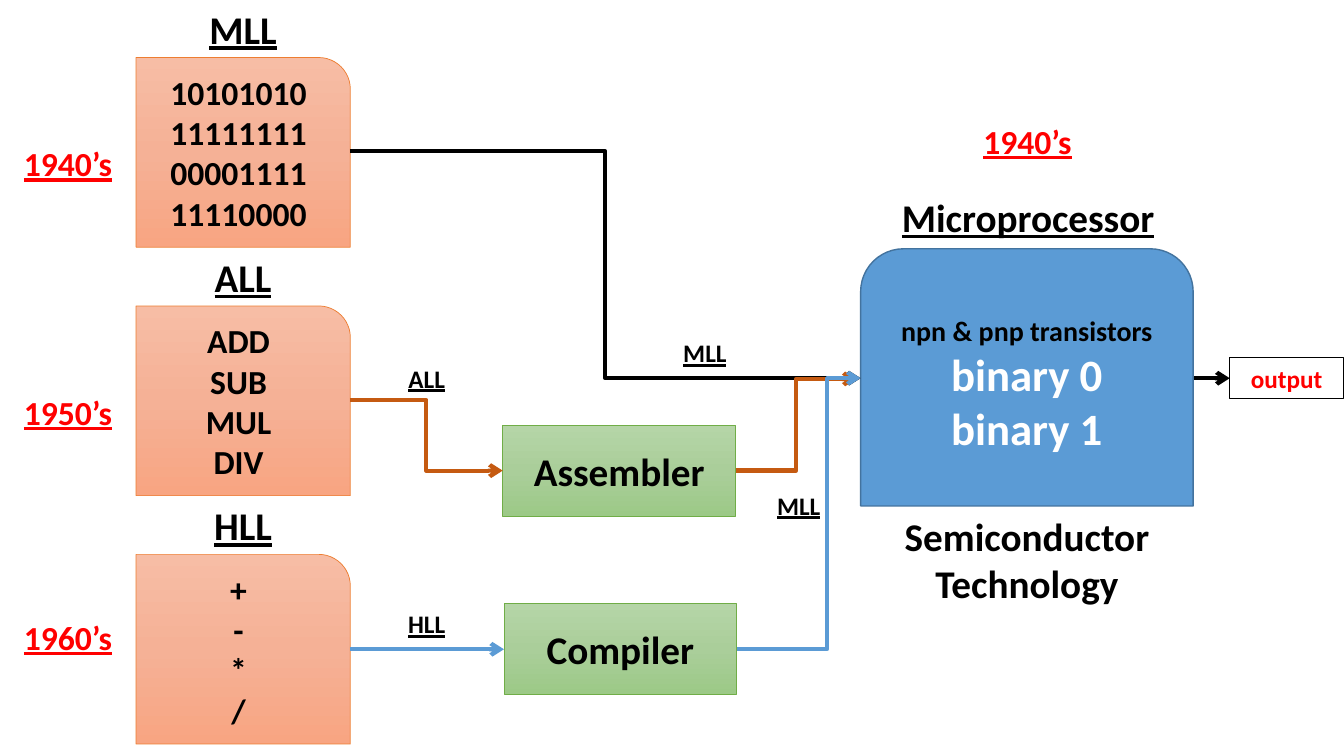
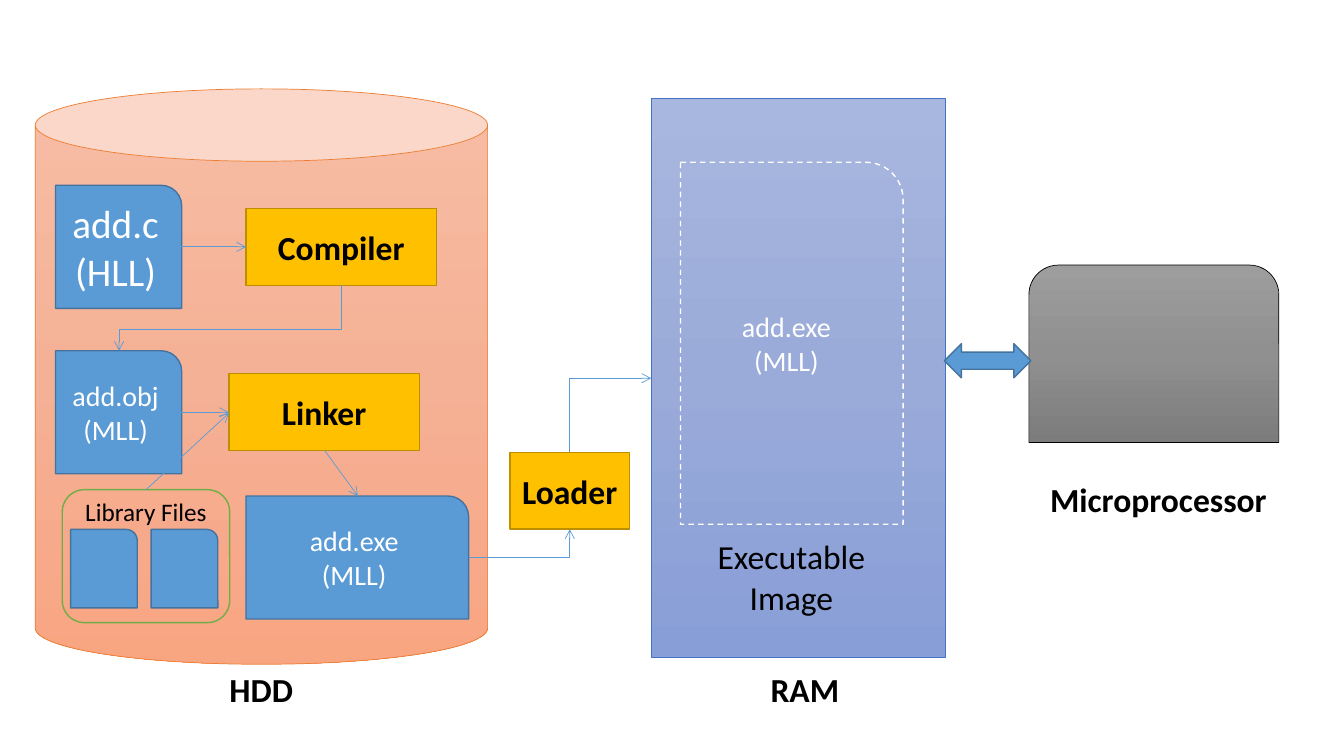
"""Build two slides on language levels and on how a program reaches the processor."""
from copy import deepcopy
from dataclasses import dataclass
from typing import Optional

from lxml.etree import SubElement
from pptx import Presentation
from pptx.dml.color import RGBColor
from pptx.dml.fill import FillFormat
from pptx.enum.dml import MSO_LINE_DASH_STYLE as Dash
from pptx.enum.shapes import MSO_CONNECTOR as Link, MSO_SHAPE as Preset
from pptx.enum.text import MSO_ANCHOR as Anchor, MSO_AUTO_SIZE as AutoSize, PP_ALIGN as Align
from pptx.oxml.ns import qn
from pptx.slide import Slide
from pptx.text.text import TextFrame
from pptx.util import Cm, Pt

FONT = "Calibri"
COLORS = {
    "black": "000000", "white": "FFFFFF", "red": "FF0000",
    "blue": "5B9BD5", "blue edge": "43739E", "royal": "4472C4",
    "orange": "ED7D31", "rust": "C55A11", "green": "70AD47",
    "gold": "FFC000", "gold edge": "BD8E00",
}
GRADIENTS = {
    "peach": ("F7BDA5", "F5B196", "F8A582"),
    "leaf": ("B5D5A7", "AACE9A", "9CC987"),
    "steel": ("9D9D9D", "909090", "7C7C7C"),
    "periwinkle": ("A8B7DF", "9AABD9", "889ED7"),
}


@dataclass(frozen=True)
class Face:
    size: int
    color: str = "black"
    bold: bool = True
    underline: bool = False


@dataclass(frozen=True)
class Look:
    fill: Optional[str] = None
    edge: Optional[str] = None
    weight: float = 1
    dash: bool = False


@dataclass(frozen=True)
class Line:
    text: str
    face: Face


@dataclass(frozen=True)
class Box:
    preset: Optional[Preset]
    left: float
    top: float
    width: float
    height: float
    look: Look
    lines: tuple[Line, ...] = ()
    anchor: Anchor = Anchor.MIDDLE
    adjustment: Optional[float] = None


@dataclass(frozen=True)
class Arrow:
    start: tuple[float, float]
    end: tuple[float, float]
    color: str = "blue"
    weight: float = 0.5
    bends: int = 0
    turn: float = 0.5
    upright: bool = False


@dataclass(frozen=True)
class Level:
    name: str
    code: tuple[str, ...]
    decade: str
    decade_top: float


PLAIN = Look()
FRAME = Look(edge="black", weight=0.75)
PEACH = Look("peach", "orange", 0.5)
LEAF = Look("leaf", "green", 0.5)
STEEL = Look("steel", "black", 0.5)
PERIWINKLE = Look("periwinkle", "royal", 0.5)
BLUE = Look("blue", "blue edge")
GOLD = Look("gold", "gold edge")
OUTLINE = Look(edge="green")
DASHED = Look(edge="white", dash=True)

HEADING = Face(28, underline=True)
LARGE = Face(28)
BODY = Face(24)
CAPTION = Face(24, bold=False)
DECADE = Face(24, "red", underline=True)
FLOW = Face(18, underline=True)
FILE = Face(20, "white", bold=False)

LEVELS = (
    Level("MLL", ("10101010", "11111111", "00001111", "11110000"), "1940’s", 3.48),
    Level("ALL", ("ADD", "SUB", "MUL", "DIV"), "1950’s", 9.75),
    Level("HLL", ("+", "-", "*", "/"), "1960’s", 15.42),
)
LEVEL_PITCH = 6.26


def rgb(name: str) -> RGBColor:
    """Return a named colour."""
    return RGBColor.from_string(COLORS[name])


def lines(face: Face, *texts: str) -> tuple[Line, ...]:
    """Set every text in the same face."""
    return tuple(Line(text, face) for text in texts)


def label(text: str, face: Face, left: float, top: float, width: float, height: float,
          look: Look = PLAIN) -> Box:
    """Describe a text box."""
    return Box(None, left, top, width, height, look, lines(face, text), Anchor.TOP)


def paint(fill: FillFormat, name: Optional[str]) -> None:
    """Apply no fill, a solid colour or a downward gradient."""
    if name is None:
        fill.background()
    elif name in COLORS:
        fill.solid()
        fill.fore_color.rgb = rgb(name)
    else:
        fill.gradient()
        fill.gradient_angle = 270
        first = fill.gradient_stops[0]._gs
        first.addnext(deepcopy(first))
        for stop, position, color in zip(fill.gradient_stops, (0, 0.5, 1), GRADIENTS[name]):
            stop.position = position
            stop.color.rgb = RGBColor.from_string(color)


def write(frame: TextFrame, texts: tuple[Line, ...]) -> None:
    """Write centred paragraphs."""
    frame.word_wrap = True
    for index, line in enumerate(texts):
        paragraph = frame.add_paragraph() if index else frame.paragraphs[0]
        paragraph.text = line.text
        paragraph.alignment = Align.CENTER
        font = paragraph.font
        font.name, font.size = FONT, Pt(line.face.size)
        font.bold, font.underline = line.face.bold, line.face.underline
        font.color.rgb = rgb(line.face.color)


def draw_box(slide: Slide, box: Box) -> None:
    """Draw a preset shape or a text box."""
    area = [Cm(length) for length in (box.left, box.top, box.width, box.height)]
    if box.preset is None:
        shape = slide.shapes.add_textbox(*area)
        shape.text_frame.auto_size = AutoSize.SHAPE_TO_FIT_TEXT
    else:
        shape = slide.shapes.add_shape(box.preset, *area)
        shape.shadow.inherit = False
        if box.anchor == Anchor.TOP:
            shape.text_frame.margin_top = 0
    if box.adjustment is not None:
        shape.adjustments[0] = box.adjustment
    paint(shape.fill, box.look.fill)
    paint(shape.line.fill, box.look.edge)
    if box.look.edge:
        shape.line.width = Pt(box.look.weight)
    if box.look.dash:
        shape.line.dash_style = Dash.DASH
    shape.text_frame.vertical_anchor = box.anchor
    write(shape.text_frame, box.lines)


def draw_arrow(slide: Slide, arrow: Arrow) -> None:
    """Draw a straight or bent arrow, turned when it leaves vertically."""
    (x1, y1), (x2, y2) = arrow.start, arrow.end
    rotation = 0
    if arrow.upright:
        rotation = 90 if y2 > y1 else 270
        sign = 1 if y2 > y1 else -1
        middle_x, middle_y = (x1 + x2) / 2, (y1 + y2) / 2
        along, across = abs(y2 - y1) / 2, sign * (x1 - x2) / 2
        x1, x2 = middle_x - along, middle_x + along
        y1, y2 = middle_y - across, middle_y + across
    kind = Link.ELBOW if arrow.bends else Link.STRAIGHT
    connector = slide.shapes.add_connector(kind, Cm(x1), Cm(y1), Cm(x2), Cm(y2))
    connector.line.color.rgb = rgb(arrow.color)
    connector.line.width = Pt(arrow.weight)
    properties = connector._element.spPr
    geometry = properties.find(qn("a:prstGeom"))
    if rotation:
        properties.find(qn("a:xfrm")).set("rot", str(rotation * 60000))
    if arrow.bends == 1:
        geometry.set("prst", "bentConnector2")
    elif arrow.bends == 2:
        guide = SubElement(geometry.find(qn("a:avLst")), qn("a:gd"))
        guide.set("name", "adj1")
        guide.set("fmla", f"val {round(arrow.turn * 100000)}")
    SubElement(properties.find(qn("a:ln")), qn("a:tailEnd")).set("type", "arrow")
    SubElement(properties, qn("a:effectLst"))


def draw_slide(presentation: Presentation, boxes: list[Box], arrows: list[Arrow]) -> None:
    """Add a blank slide with its boxes and arrows."""
    slide = presentation.slides.add_slide(presentation.slide_layouts[6])
    for box in boxes:
        draw_box(slide, box)
    for arrow in arrows:
        draw_arrow(slide, arrow)


def draw_languages(presentation: Presentation) -> None:
    """Show the three language levels feeding the processor."""
    boxes = [
        Box(Preset.ROUND_2_SAME_RECTANGLE, 21.69, 6.27, 8.38, 6.48, BLUE,
            lines(Face(20), "npn & pnp transistors")
            + lines(Face(32, "white"), "binary 0", "binary 1")),
        label("Microprocessor", HEADING, 21.92, 4.75, 7.98, 1.45),
        label("Semiconductor Technology", LARGE, 21.69, 12.78, 8.38, 2.64),
        label("1940’s", DECADE, 23.19, 2.92, 5.41, 1.27),
        label("output", Face(18, "red"), 30.99, 9.02, 2.87, 1.02, FRAME),
        label("ALL", FLOW, 8.81, 9.02, 3.89, 1.02),
        label("HLL", FLOW, 8.81, 15.21, 3.89, 1.02),
        label("MLL", FLOW, 18.67, 12.22, 2.92, 1.02),
        label("MLL", FLOW, 15.82, 8.38, 3.89, 1.02),
    ]
    for index, level in enumerate(LEVELS):
        offset = index * LEVEL_PITCH
        boxes += [
            Box(Preset.ROUND_1_RECTANGLE, 3.43, 1.45 + offset, 5.4, 4.78, PEACH,
                lines(BODY, *level.code)),
            label(level.name, HEADING, 4.18, offset, 3.89, 1.45),
            label(level.decade, DECADE, 0, level.decade_top, 3.43, 1.27),
        ]
    for name, left, top in (("Assembler", 12.67, 10.72), ("Compiler", 12.7, 15.21)):
        boxes.append(Box(Preset.RECTANGLE, left, top, 5.87, 2.29, LEAF, lines(LARGE, name)))
    arrows = [
        Arrow((8.82, 3.81), (21.69, 9.53), "black", 3, bends=2),
        Arrow((30.1, 9.53), (30.99, 9.53), "black", 3),
        Arrow((8.82, 10.08), (12.67, 11.86), "rust", 3, bends=2),
        Arrow((18.54, 11.86), (21.59, 9.55), "rust", 3, bends=2),
        Arrow((8.82, 16.36), (12.7, 16.36), "blue", 3),
        Arrow((18.57, 16.36), (21.69, 9.53), "blue", 3, bends=2, turn=0.73),
    ]
    draw_slide(presentation, boxes, arrows)


def draw_loading(presentation: Presentation) -> None:
    """Show a program going from disk through memory to the processor."""
    boxes = [
        Box(Preset.ROUND_2_SAME_RECTANGLE, 25.93, 6.68, 6.3, 4.47, STEEL),
        Box(Preset.RECTANGLE, 16.41, 2.49, 7.42, 14.07, PERIWINKLE),
        Box(Preset.CAN, 0.89, 2.24, 11.4, 14.5, PEACH, adjustment=0.16),
        Box(Preset.ROUNDED_RECTANGLE, 1.57, 12.34, 4.22, 3.35, OUTLINE,
            lines(Face(18, bold=False), "Library Files"), Anchor.TOP),
        label("Executable Image", CAPTION, 16.81, 13.39, 6.27, 2.31),
        Box(Preset.LEFT_RIGHT_ARROW, 23.8, 8.66, 2.18, 0.86, BLUE),
    ]
    for name, left, top in (("Microprocessor", 26.06, 11.94), ("RAM", 17.15, 16.74),
                            ("HDD", 3.45, 16.74)):
        boxes.append(label(name, BODY, left, top, 6.27, 1.27))
    for name, left, top, width, height, look, face in (
        ("add.c\n(HLL)", 1.4, 4.67, 3.18, 3.1, BLUE, Face(28, "white", bold=False)),
        ("add.obj\n(MLL)", 1.4, 8.84, 3.18, 3.1, BLUE, FILE),
        ("add.exe\n(MLL)", 6.2, 12.5, 5.61, 3.1, BLUE, FILE),
        ("add.exe\n(MLL)", 17.15, 4.09, 5.61, 9.12, DASHED, FILE),
    ):
        boxes.append(Box(Preset.ROUND_1_RECTANGLE, left, top, width, height, look,
                         lines(face, name)))
    for left in (1.78, 3.81):
        boxes.append(Box(Preset.ROUND_1_RECTANGLE, left, 13.34, 1.68, 1.98, BLUE))
    for name, left, top, width in (("Compiler", 6.2, 5.26, 4.8), ("Linker", 5.77, 9.42, 4.8),
                                   ("Loader", 12.85, 11.4, 3.02)):
        boxes.append(Box(Preset.RECTANGLE, left, top, width, 1.93, GOLD, lines(BODY, name)))
    arrows = [
        Arrow((4.57, 6.22), (6.2, 6.22)),
        Arrow((8.61, 7.19), (3, 8.84), bends=2, turn=0.68, upright=True),
        Arrow((4.57, 10.39), (5.77, 10.39)),
        Arrow((3.68, 12.34), (5.77, 10.41)),
        Arrow((8.18, 11.35), (9.02, 12.5)),
        Arrow((11.81, 14.05), (14.36, 13.34), bends=1),
        Arrow((14.36, 11.4), (16.41, 9.53), bends=1, upright=True),
    ]
    draw_slide(presentation, boxes, arrows)


def main() -> None:
    """Save the presentation."""
    presentation = Presentation()
    presentation.slide_width, presentation.slide_height = Cm(33.87), Cm(19.05)
    draw_languages(presentation)
    draw_loading(presentation)
    presentation.save("out.pptx")


if __name__ == "__main__":
    main()
